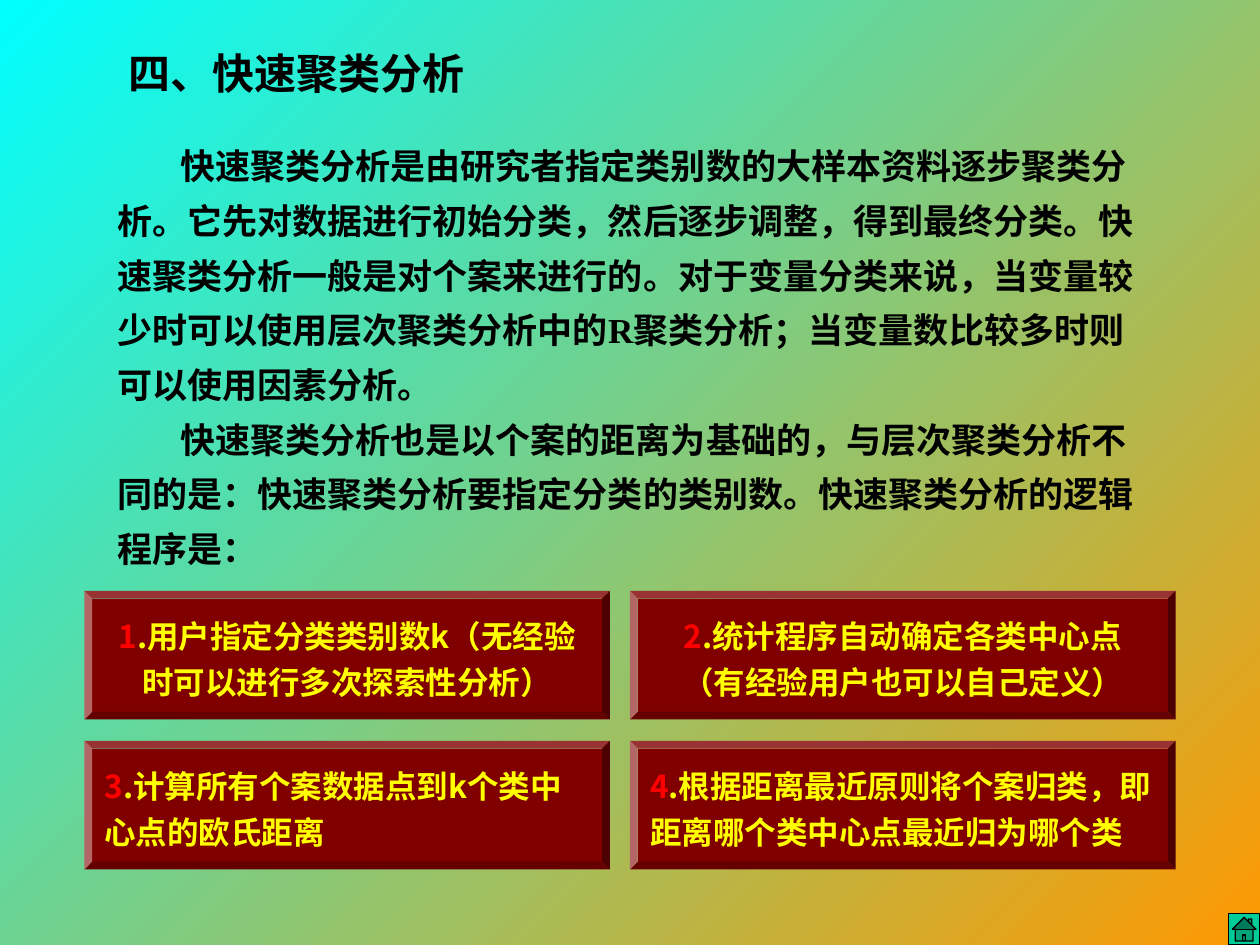
"""Build the slide on quick cluster analysis."""
from dataclasses import dataclass

from lxml import etree
from pptx import Presentation
from pptx.dml.color import RGBColor
from pptx.enum.shapes import MSO_SHAPE
from pptx.enum.text import MSO_ANCHOR, MSO_AUTO_SIZE, PP_ALIGN
from pptx.oxml.ns import qn
from pptx.util import Inches, Pt

BEVEL, HOME = MSO_SHAPE.BEVEL, MSO_SHAPE.ACTION_BUTTON_HOME
LEFT, CENTER = PP_ALIGN.LEFT, PP_ALIGN.CENTER
TOP, MIDDLE = MSO_ANCHOR.TOP, MSO_ANCHOR.MIDDLE
FIXED = MSO_AUTO_SIZE.NONE

BLACK = RGBColor(0x00, 0x00, 0x00)
RED = RGBColor(0xFF, 0x00, 0x00)
YELLOW = RGBColor(0xFF, 0xFF, 0x00)
MAROON = RGBColor(0x80, 0x00, 0x00)
GREEN = RGBColor(0x00, 0xCC, 0x99)
ORANGE = RGBColor(0xFF, 0x99, 0x00)
CYAN = RGBColor(0x00, 0xFF, 0xFF)

SANS, SERIF = "Noto Sans CJK SC", "Times New Roman"
COLS = ((0.67, 4.17), (5, 4.33))
ROWS = (4.69, 5.88)
HIGH = 1.02

TITLE = "四、快速聚类分析"
BODY = (
    "快速聚类分析是由研究者指定类别数的大样本资料逐步聚类分析。"
    "它先对数据进行初始分类，然后逐步调整，得到最终分类。"
    "快速聚类分析一般是对个案来进行的。对于变量分类来说，"
    "当变量较少时可以使用层次聚类分析中的R聚类分析；"
    "当变量数比较多时则可以使用因素分析。\n"
    "快速聚类分析也是以个案的距离为基础的，与层次聚类分析不同的是："
    "快速聚类分析要指定分类的类别数。快速聚类分析的逻辑程序是："
)


@dataclass
class Step:
    head: str
    tail: str
    align: PP_ALIGN


STEPS = (
    Step(".用户指定分类类别数k（无经验", "时可以进行多次探索性分析）", CENTER),
    Step(".统计程序自动确定各类中心点", "（有经验用户也可以自己定义）", CENTER),
    Step(".计算所有个案数据点到k个类中", "心点的欧氏距离", LEFT),
    Step(".根据距离最近原则将个案归类，即", "距离哪个类中心点最近归为哪个类", LEFT),
)


def style(run, size: int, color: RGBColor, face: str = SANS) -> None:
    """Format one run in bold with Latin and East Asian faces."""
    font = run.font
    font.size, font.bold, font.name = Pt(size), True, face
    font.color.rgb = color
    props = run._r.get_or_add_rPr()
    etree.SubElement(props, qn("a:ea")).set("typeface", SANS)


def place(shape, left: float, top: float, width: float, height: float) -> None:
    """Move and size a placeholder."""
    shape.left, shape.top = Inches(left), Inches(top)
    shape.width, shape.height = Inches(width), Inches(height)


def fill_text(shape, text: str, size: int, face: str) -> None:
    """Put left-aligned black text in a placeholder."""
    frame = shape.text_frame
    frame.text = text
    frame.auto_size, frame.vertical_anchor = FIXED, TOP
    frame.word_wrap = True
    for para in frame.paragraphs:
        para.alignment, para.space_before = LEFT, Pt(0)
        for run in para.runs:
            style(run, size, BLACK, face)


def indent(para, first: float) -> None:
    """Drop the bullet and indent the first line."""
    props = para._p.get_or_add_pPr()
    props.set("marL", "0")
    props.set("indent", str(Inches(first)))
    etree.SubElement(props, qn("a:buNone"))


def draw_step(slide, num: int, step: Step) -> None:
    """Draw one numbered step in its grid cell."""
    row, col = divmod(num - 1, len(COLS))
    left, width = COLS[col]
    box = slide.shapes.add_shape(
        BEVEL, Inches(left), Inches(ROWS[row]), Inches(width), Inches(HIGH))
    box.adjustments[0] = 0.06
    box.shadow.inherit = False
    box.fill.solid()
    box.fill.fore_color.rgb = MAROON
    box.line.fill.background()
    frame = box.text_frame
    frame.word_wrap, frame.vertical_anchor = False, MIDDLE
    frame.text = f"{num}\n{step.tail}"
    first, last = frame.paragraphs
    first.add_run().text = step.head
    for para in (first, last):
        para.alignment, para.line_spacing = step.align, 1.2
        for run in para.runs:
            style(run, 18, YELLOW)
    first.runs[0].font.color.rgb = RED


def draw_home(slide) -> None:
    """Draw the home button in the corner."""
    side = Inches(0.25)
    home = slide.shapes.add_shape(HOME, Inches(9.75), Inches(7.25), side, side)
    home.shadow.inherit = False
    home.fill.solid()
    home.fill.fore_color.rgb = GREEN
    home.line.color.rgb, home.line.width = BLACK, Pt(0.75)


def main() -> None:
    """Build and save the deck."""
    deck = Presentation()
    deck.slide_width, deck.slide_height = Inches(10), Inches(7.5)
    slide = deck.slides.add_slide(deck.slide_layouts[1])
    back = slide.background.fill
    back.gradient()
    back.gradient_angle = 135
    for stop, color in zip(back.gradient_stops, (ORANGE, CYAN)):
        stop.color.rgb = color
    title, body = slide.placeholders
    place(title, 0.92, 0.33, 6.08, 0.5)
    fill_text(title, TITLE, 24, SANS)
    place(body, 0.83, 1, 8.42, 3.57)
    fill_text(body, BODY, 20, SERIF)
    for para in body.text_frame.paragraphs:
        para.line_spacing = 1.3
        indent(para, 0.5)
    for num, step in enumerate(STEPS, 1):
        draw_step(slide, num, step)
    draw_home(slide)
    deck.save("out.pptx")


if __name__ == "__main__":
    main()
